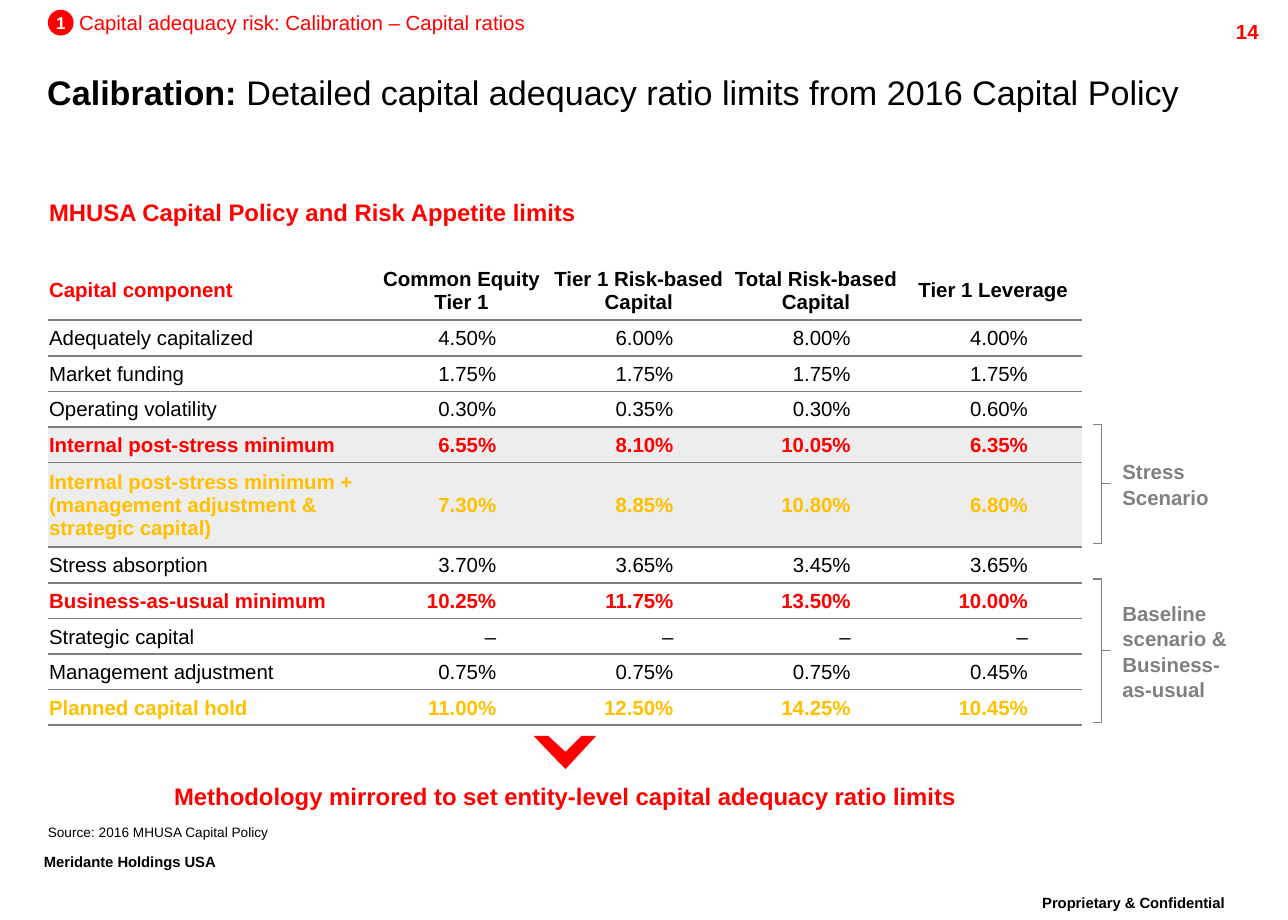
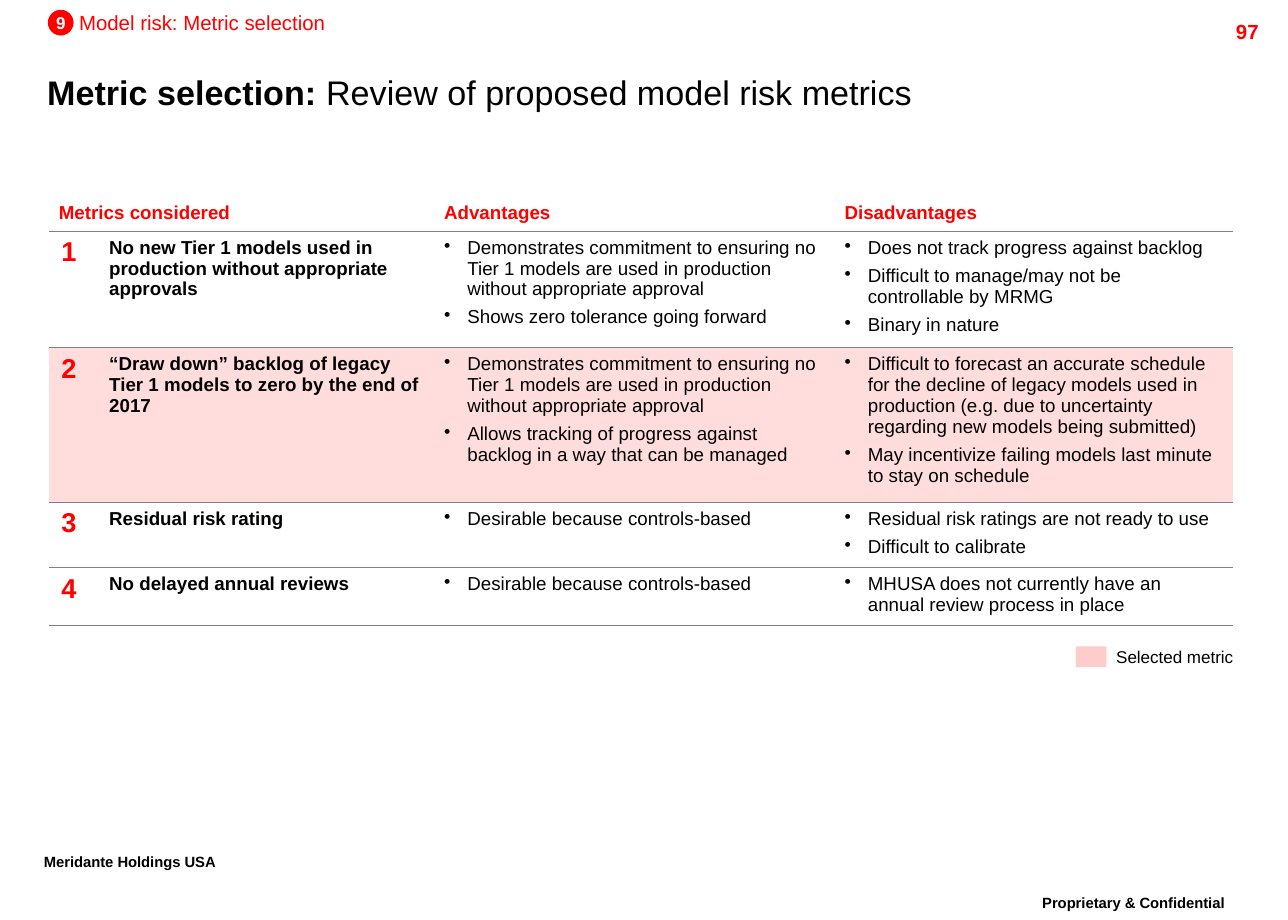
from lxml.etree import SubElement as Sub
from pptx import Presentation
from pptx.dml.color import RGBColor as RGB
from pptx.enum.shapes import MSO_SHAPE as Kind
from pptx.enum.text import MSO_ANCHOR as Anchor, PP_ALIGN as Align
from pptx.oxml.ns import qn
from pptx.util import Emu, Inches, Pt

WIDE, HIGH = Inches(10.5), Inches(7.5)
COLS = 105
UNIT = WIDE // COLS  # square grid of 105 columns by 75 rows

FACE = "Arial"
RED = RGB(0xFF, 0x00, 0x00)
GOLD = RGB(0xFF, 0xC0, 0x00)
BLACK = RGB(0x00, 0x00, 0x00)
WHITE = RGB(0xFF, 0xFF, 0xFF)
GREY = RGB(0x80, 0x80, 0x80)
SILVER = RGB(0xED, 0xED, 0xED)
PINK = RGB(0xFF, 0xDD, 0xDD)
ROSE = RGB(0xFF, 0xCC, 0xCC)
NO_STYLE = "{2D5ABB26-0587-4C30-8999-92F81FD0307C}"

LIMITS = [
    ("Adequately capitalized", "4.50%", "6.00%", "8.00%", "4.00%"),
    ("Market funding", "1.75%", "1.75%", "1.75%", "1.75%"),
    ("Operating volatility", "0.30%", "0.35%", "0.30%", "0.60%"),
    ("Internal post-stress minimum", "6.55%", "8.10%", "10.05%", "6.35%"),
    ("Internal post-stress minimum + (management adjustment & strategic capital)",
     "7.30%", "8.85%", "10.80%", "6.80%"),
    ("Stress absorption", "3.70%", "3.65%", "3.45%", "3.65%"),
    ("Business-as-usual minimum", "10.25%", "11.75%", "13.50%", "10.00%"),
    ("Strategic capital", "–", "–", "–", "–"),
    ("Management adjustment", "0.75%", "0.75%", "0.75%", "0.45%"),
    ("Planned capital hold", "11.00%", "12.50%", "14.25%", "10.45%"),
]
LIMIT_HEAD = ("Capital component", "Common Equity Tier 1", "Tier 1 Risk-based Capital",
              "Total Risk-based Capital", "Tier 1 Leverage")
ACCENT = {4: RED, 5: GOLD, 7: RED, 10: GOLD}
SHADED = (4, 5)

COMMIT = ("Demonstrates commitment to ensuring no Tier 1 models are used in production "
          "without appropriate approval")
METRICS = [
    ("No new Tier 1 models used in production without appropriate approvals",
     [COMMIT, "Shows zero tolerance going forward"],
     ["Does not track progress against backlog",
      "Difficult to manage/may not be controllable by MRMG", "Binary in nature"]),
    ("“Draw down” backlog of legacy Tier 1 models to zero by the end of 2017",
     [COMMIT, "Allows tracking of progress against backlog in a way that can be managed"],
     ["Difficult to forecast an accurate schedule for the decline of legacy models used in "
      "production (e.g. due to uncertainty regarding new models being submitted)",
      "May incentivize failing models last minute to stay on schedule"]),
    ("Residual risk rating", ["Desirable because controls-based"],
     ["Residual risk ratings are not ready to use", "Difficult to calibrate"]),
    ("No delayed annual reviews", ["Desirable because controls-based"],
     ["MHUSA does not currently have an annual review process in place"]),
]
CHOSEN = 2


def grid(*sizes):
    return [Emu(round(size * UNIT)) for size in sizes]


def style(para, size, color=BLACK, bold=False, align=Align.LEFT, lead=None):
    para.alignment = align
    if lead:
        para.line_spacing = lead
    font = para.font
    font.name, font.size, font.bold = FACE, Pt(size), bold
    font.color.rgb = color


def pad(item, left=0, top=0, right=0, bottom=0):
    """Set the insets of a text frame or a cell."""
    (item.margin_left, item.margin_top,
     item.margin_right, item.margin_bottom) = grid(left, top, right, bottom)


def label(slide, box, words, size, *look, anchor=Anchor.TOP, inset=(), **more):
    frame = slide.shapes.add_textbox(*grid(*box)).text_frame
    frame.word_wrap = True
    frame.vertical_anchor = anchor
    pad(frame, *inset)
    para = frame.paragraphs[0]
    para.text = words
    style(para, size, *look, **more)
    return para


def shape(slide, kind, box, fill=None, line=None):
    item = slide.shapes.add_shape(kind, *grid(*box))
    return paint(item, fill, line)


def paint(item, fill=None, line=None):
    item.shadow.inherit = False
    if fill is None:
        item.fill.background()
    else:
        item.fill.solid()
        item.fill.fore_color.rgb = fill
    if line is None:
        item.line.fill.background()
    else:
        item.line.color.rgb = line
        item.line.width = Pt(0.75)
    return item


def table(slide, left, top, cols, rows):
    """Add a plain table whose columns and rows have the given grid sizes."""
    box = grid(left, top, sum(cols), sum(rows))
    made = slide.shapes.add_table(len(rows), len(cols), *box).table
    made.first_row = made.horz_banding = False
    made._tbl.tblPr.find(qn("a:tableStyleId")).text = NO_STYLE
    for col, width in zip(made.columns, grid(*cols)):
        col.width = width
    for row, height in zip(made.rows, grid(*rows)):
        row.height = height
    return made


def rule(cell, points):
    """Draw the bottom border of a cell."""
    props = cell._tc.get_or_add_tcPr()
    line = Sub(props, qn("a:lnB"), w=str(Pt(points)))
    Sub(Sub(line, qn("a:solidFill")), qn("a:srgbClr"), val=str(GREY))
    props.insert(0, line)


def fill_cell(cell, words, size, *look, fill=None, line=1, inset=(), **more):
    """Write one paragraph, or a bullet for each item of a list."""
    if fill is None:
        cell.fill.background()
    else:
        cell.fill.solid()
        cell.fill.fore_color.rgb = fill
    rule(cell, line)
    pad(cell, *inset)
    listed = isinstance(words, list)
    frame = cell.text_frame
    for num, item in enumerate(words if listed else [words]):
        para = frame.add_paragraph() if num else frame.paragraphs[0]
        para.text = item
        if listed:
            bullet(para)
        if num:
            para.space_before = Pt(4.2)
        style(para, size, *look, **more)


def bullet(para):
    props = para._p.get_or_add_pPr()
    hang = grid(1.9)[0]
    props.set("marL", str(hang))
    props.set("indent", str(-hang))
    Sub(props, qn("a:buChar"), char="•")


def footer(slide, box, words, align):
    para = label(slide, box, words, 15, BLACK, True, align, lead=0.86,
                 inset=(1, 0.5, 1, 0.5))
    para.runs[0]._r.get_or_add_rPr().set("baseline", "30000")


def page(deck, number, risk, topic, lead, rest):
    """Add a slide with the shared header, title and footers."""
    slide = deck.slides.add_slide(deck.slide_layouts[6])
    footer(slide, (81.5, 72.5, 21.8, 3.5), "Proprietary & Confidential", Align.CENTER)
    footer(slide, (2.6, 69.1, 21, 3.5), "Meridante Holdings USA", Align.LEFT)
    label(slide, (93.6, 1.1, 10, 2.4), number, 12, RED, True, Align.RIGHT,
          inset=(1, 0.5, 1, 0.5))
    label(slide, (6.45, 0.8, 60, 2), topic, 12, RED)
    disc = shape(slide, Kind.OVAL, (3.9, 0.8, 2.1, 2.1), RED)
    frame = disc.text_frame
    pad(frame)
    frame.word_wrap = False
    frame.vertical_anchor = Anchor.MIDDLE
    frame.text = risk
    style(frame.paragraphs[0], 10, WHITE, True, Align.CENTER)
    title = label(slide, (3.85, 5.1, 94.8, 4.8), lead, 20, anchor=Anchor.MIDDLE)
    title.runs[0].font.bold = True
    title.add_run().text = rest
    return slide


def bracket(slide, top, high, words):
    brace = shape(slide, Kind.RIGHT_BRACE, (89.1, top, 1.4, high), line=GREY)
    brace.adjustments[0] = 0
    label(slide, (91.5, top, 9, high), words, 12, GREY, True,
          anchor=Anchor.MIDDLE, lead=1.04)


def chevron(slide):
    pen = slide.shapes.build_freeform(486, 600, scale=UNIT / 10)
    pen.add_line_segments([(474, 600), (461, 613), (447, 600), (435, 600), (461, 627)])
    paint(pen.convert_to_shape(), RED)


def limits(deck):
    slide = page(deck, "14", "1", "Capital adequacy risk: Calibration – Capital ratios",
                 "Calibration: ",
                 "Detailed capital adequacy ratio limits from 2016 Capital Policy")
    label(slide, (4, 16.1, 60, 2.4), "MHUSA Capital Policy and Risk Appetite limits",
          14, RED, True)
    heights = [4.84] + [2.88] * len(LIMITS)
    heights[5] = 6.87
    made = table(slide, 3.9, 21.2, [26.5] + [14.45] * 4, heights)
    for row, items in enumerate([LIMIT_HEAD] + LIMITS):
        for col, words in enumerate(items):
            align, right = Align.LEFT, 0.1
            color = ACCENT.get(row, BLACK)
            if col and row:
                align, right = Align.RIGHT, 4.4
            elif col:
                align = Align.CENTER
            elif not row:
                color = RED
            cell = made.cell(row, col)
            cell.vertical_anchor = Anchor.MIDDLE
            fill_cell(cell, words, 12, color, not row or row in ACCENT, align,
                      fill=SILVER if row in SHADED else None,
                      inset=(0.1, 0.5, right, 0.4))
    bracket(slide, 34.6, 9.7, "Stress Scenario")
    bracket(slide, 47.2, 11.7, "Baseline scenario & Business-as-usual")
    chevron(slide)
    label(slide, (9.5, 63.7, 73.2, 2.4),
          "Methodology mirrored to set entity-level capital adequacy ratio limits",
          14, RED, True, Align.CENTER)
    label(slide, (3.9, 67.2, 60.6, 1.3), "Source: 2016 MHUSA Capital Policy", 8,
          anchor=Anchor.BOTTOM)


def metrics(deck):
    slide = page(deck, "97", "9", "Model risk: Metric selection",
                 "Metric selection: ", "Review of proposed model risk metrics")
    made = table(slide, 4, 16, [3.9, 27.3, 32.65, 32.65], [2.8, 9.5, 12.5, 5.35, 4.65])
    inset = (1, 0.5, 1, 0.5)
    made.cell(0, 0).merge(made.cell(0, 1))
    heads = ("Metrics considered", "", "Advantages", "Disadvantages")
    for col, words in enumerate(heads):
        fill_cell(made.cell(0, col), words, 11, RED, True, line=0.75,
                  inset=inset if col else (0.8, 0.5, 1, 0.5))
    for row, (name, pros, cons) in enumerate(METRICS, 1):
        looks = ((str(row), 16, RED, True), (name, 11, BLACK, True), (pros, 11), (cons, 11))
        for col, look in enumerate(looks):
            fill_cell(made.cell(row, col), *look, line=0.75, inset=inset,
                      fill=PINK if row == CHOSEN else None)
    shape(slide, Kind.RECTANGLE, (87.7, 52.7, 2.5, 1.7), ROSE)
    label(slide, (91, 52.7, 12, 1.7), "Selected metric", 10, anchor=Anchor.MIDDLE)


def main():
    deck = Presentation()
    deck.slide_width, deck.slide_height = WIDE, HIGH
    limits(deck)
    metrics(deck)
    deck.save("out.pptx")


if __name__ == "__main__":
    main()
